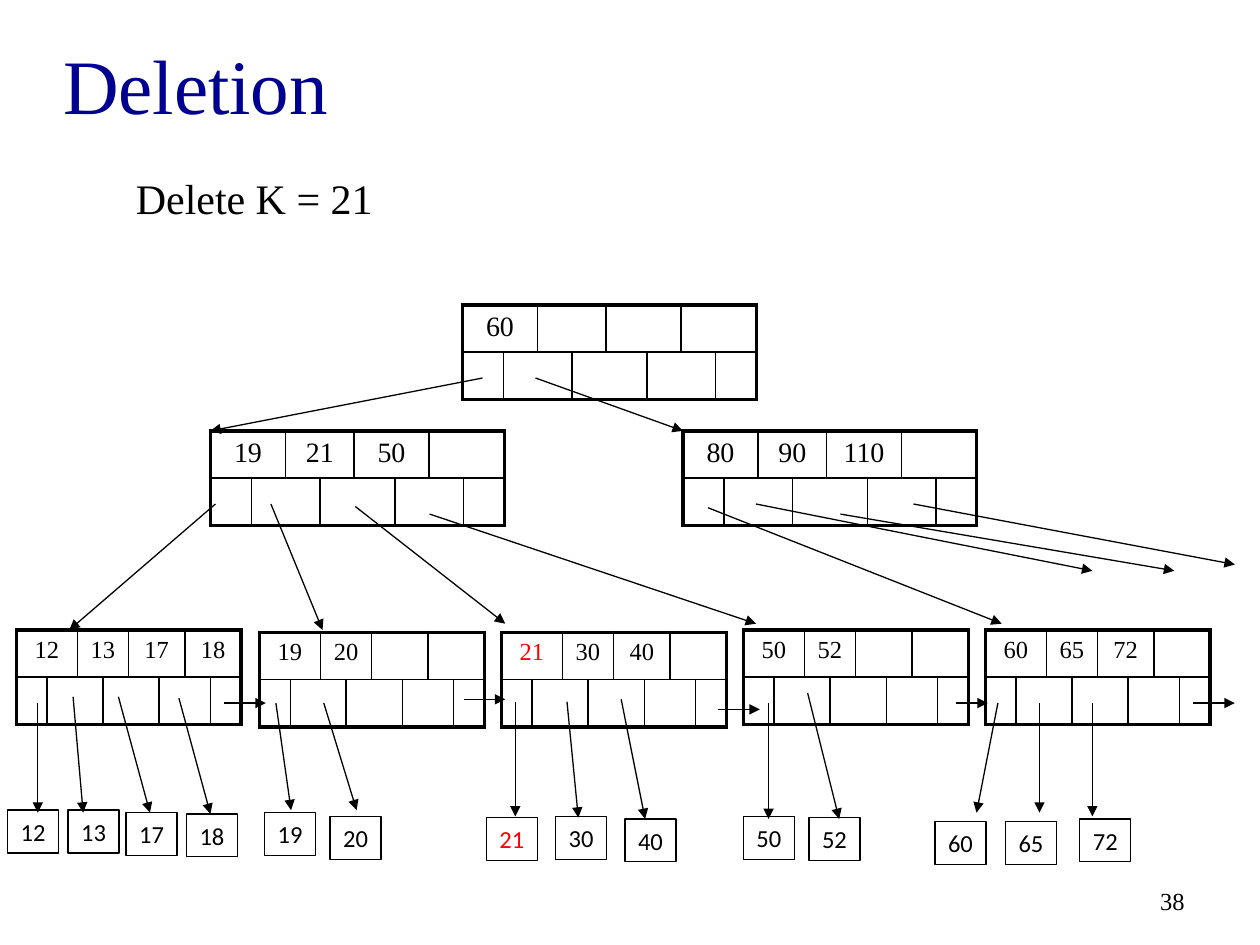
from lxml import etree
from pptx import Presentation
from pptx.dml.color import RGBColor
from pptx.enum.shapes import MSO_CONNECTOR, MSO_SHAPE
from pptx.enum.text import MSO_ANCHOR, MSO_AUTO_SIZE, PP_ALIGN
from pptx.oxml.ns import qn
from pptx.util import Inches, Pt

LEFT, CENTER, RIGHT = PP_ALIGN.LEFT, PP_ALIGN.CENTER, PP_ALIGN.RIGHT
TOP, MIDDLE = MSO_ANCHOR.TOP, MSO_ANCHOR.MIDDLE
FIT, FIXED = MSO_AUTO_SIZE.SHAPE_TO_FIT_TEXT, MSO_AUTO_SIZE.NONE
RECTANGLE, STRAIGHT = MSO_SHAPE.RECTANGLE, MSO_CONNECTOR.STRAIGHT

BLACK, RED, NAVY = "000000", "FF0000", "000090"
SERIF, SANS = "Times New Roman", "Calibri"
GRID_COLUMNS, GRID_ROWS = 100, 75
DELETED = "21"
NODE_WEIGHTS = (6, 5, 5, 5, 6, 5, 5, 6)
KEY_SPANS = ((0, 1), (2, 3), (4, 5), (6, 7))
POINTER_SPANS = ((0, 0), (1, 2), (3, 4), (5, 6), (7, 7))
INNER_NODE = {"width": 23.33, "size": 16, "marked": None}
LEAF_NODE = {"width": 17.5, "size": 14, "marked": DELETED}

INNER_NODES = [
    (36.7, 24.2, ["60"]),
    (16.7, 34.2, ["19", "21", "50"]),
    (54.2, 34.2, ["80", "90", "110"]),
]
LEAF_NODES = [
    (1.3, 50, ["12", "13", "17", "18"]),
    (20.6, 50.2, ["19", "20"]),
    (39.8, 50.2, ["21", "30", "40"]),
    (59, 50, ["50", "52"]),
    (78.2, 50, ["60", "65", "72"]),
]
RECORDS = [
    ("12", 0.6, 64.3), ("13", 5.4, 64.3), ("17", 10, 64.5), ("18", 14.8, 64.6),
    ("19", 21, 64.5), ("20", 26.2, 64.8),
    ("21", 38.6, 64.9), ("30", 44.1, 64.8), ("40", 49.6, 65),
    ("50", 59, 64.8), ("52", 64.2, 64.9),
    ("60", 74.2, 65.2), ("65", 79.8, 65.2), ("72", 85.7, 65),
]
CHILD_ARROWS = [
    (38.3, 30, 16.7, 34.2), (42.5, 30, 54.2, 34.2),
    (17.1, 40, 5.5, 50), (21.5, 40, 25.6, 50),
    (28.2, 40.2, 40.1, 49.5), (34.1, 40.8, 60, 49.5),
    (56.2, 40.3, 79.5, 49.5), (60, 40, 86.7, 45.3),
    (66.7, 40.8, 93.2, 45.3), (72.5, 40, 98, 44.8),
]
SIBLING_ARROWS = [
    (17.8, 55.8, 21.1, 55.8), (36.8, 55.5, 40.1, 55.5), (57, 56.3, 60.3, 56.3),
    (75.9, 55.8, 78.4, 55.8), (94.7, 55.8, 98, 55.8),
]
RECORD_ARROWS = [
    (3, 55.8, 3, 64.5), (5.8, 55.3, 6.6, 64.5), (9.4, 55.3, 11.9, 64.5),
    (14.2, 55.4, 16.7, 64.6), (21.9, 55.8, 23.1, 64.3), (25.7, 55.8, 28.3, 64.3),
    (40.9, 55.7, 40.9, 64.8), (45, 55.7, 45.9, 64.9), (49.3, 55.5, 51.2, 65),
    (61, 55.8, 61, 65), (64.1, 55, 66.6, 65),
    (79.2, 55.8, 77.5, 64.5), (82.5, 55.8, 82.5, 64.5), (86.7, 55.8, 86.7, 64.8),
]


def color(value):
    """Turn a hex string into a colour."""
    return RGBColor.from_string(value)


def apply(target, values):
    """Set each named attribute of the target."""
    for name, value in values.items():
        setattr(target, name, value)


class TreeSlide:
    """Hold the style, the grid and the current slide."""

    def __init__(self, presentation):
        """Add a title-only slide and measure its grid."""
        self.slide = presentation.slides.add_slide(presentation.slide_layouts[5])
        self.column = presentation.slide_width / GRID_COLUMNS
        self.row = presentation.slide_height / GRID_ROWS

    def place(self, left, top, width, height):
        """Convert grid lengths to slide lengths."""
        return (round(left * self.column), round(top * self.row),
                round(width * self.column), round(height * self.row))

    def add_text(self, frame, text, size, font=SERIF, ink=BLACK, align=LEFT):
        """Put one formatted line into a text frame."""
        paragraph = frame.paragraphs[0]
        paragraph.alignment = align
        run = paragraph.add_run()
        run.text = text
        apply(run.font, {"name": font, "size": Pt(size)})
        run.font.color.rgb = color(ink)

    def title(self, text, *area):
        """Move and format the title placeholder."""
        shape = self.slide.shapes.title
        apply(shape, dict(zip(("left", "top", "width", "height"), self.place(*area))))
        apply(shape.text_frame, {"vertical_anchor": MIDDLE, "auto_size": FIXED})
        self.add_text(shape.text_frame, text, 44, ink=NAVY)

    def label(self, text, area, size, align=LEFT, anchor=TOP):
        """Add a plain text box."""
        frame = self.slide.shapes.add_textbox(*self.place(*area)).text_frame
        apply(frame, {"word_wrap": True, "vertical_anchor": anchor})
        self.add_text(frame, text, size, align=align)

    def record(self, key, left, top):
        """Add a data record box."""
        shape = self.slide.shapes.add_shape(RECTANGLE, *self.place(left, top, 4.05, 3.4))
        shape.shadow.inherit = False
        shape.fill.background()
        shape.line.color.rgb = color(BLACK)
        shape.line.width = Pt(0.75)
        apply(shape.text_frame, {"word_wrap": False, "auto_size": FIT, "vertical_anchor": MIDDLE})
        self.add_text(shape.text_frame, key, 14, SANS, RED if key == DELETED else BLACK, CENTER)

    def arrow(self, *ends):
        """Add a straight arrow between two grid points."""
        shape = self.slide.shapes.add_connector(STRAIGHT, *self.place(*ends))
        shape.line.color.rgb = color(BLACK)
        shape.line.width = Pt(0.75)
        etree.SubElement(shape.line._get_or_add_ln(), qn("a:tailEnd"), type="triangle")
        etree.SubElement(shape._element.spPr, qn("a:effectLst"))

    def border(self, cell, thick_sides):
        """Draw the four borders of a cell."""
        properties = cell._tc.get_or_add_tcPr()
        for side in "LRTB":
            width = Pt(2.25 if side in thick_sides else 1)
            line = etree.SubElement(properties, qn(f"a:ln{side}"), w=str(width))
            fill = etree.SubElement(line, qn("a:solidFill"))
            etree.SubElement(fill, qn("a:srgbClr"), val=BLACK)

    def node(self, left, top, keys, width, size, marked):
        """Add a tree node with a row of keys over a row of pointers."""
        area = self.place(left, top, width, 7.5)
        table = self.slide.shapes.add_table(2, len(NODE_WEIGHTS), *area).table
        apply(table, {"first_row": False, "horz_banding": False})
        for column, weight in zip(table.columns, NODE_WEIGHTS):
            column.width = round(area[2] * weight / sum(NODE_WEIGHTS))
        last = len(NODE_WEIGHTS) - 1
        for row, (edge, spans) in enumerate((("T", KEY_SPANS), ("B", POINTER_SPANS))):
            for first, final in spans:
                cell = table.cell(row, first)
                if final > first:
                    cell.merge(table.cell(row, final))
                self.border(cell, edge + "L" * (first == 0) + "R" * (final == last))
        for cell in table.iter_cells():
            cell.fill.background()
            apply(cell, {"margin_top": Inches(0.05), "margin_bottom": 0})
        for key, (first, _) in zip(keys, KEY_SPANS):
            ink = RED if key == marked else BLACK
            self.add_text(table.cell(0, first).text_frame, key, size, ink=ink, align=CENTER)


def main():
    """Build the deletion slide."""
    presentation = Presentation()
    apply(presentation, {"slide_width": Inches(10), "slide_height": Inches(7.5)})
    tree = TreeSlide(presentation)
    tree.title("Deletion", 4, 1.1, 90, 11.1)
    tree.label("Delete K = 21", (9.8, 13.2, 21, 5), 24)
    for nodes, style in ((INNER_NODES, INNER_NODE), (LEAF_NODES, LEAF_NODE)):
        for node in nodes:
            tree.node(*node, **style)
    for record in RECORDS:
        tree.record(*record)
    for ends in CHILD_ARROWS + SIBLING_ARROWS + RECORD_ARROWS:
        tree.arrow(*ends)
    tree.label("38", (71.7, 69.5, 23.3, 4), 14, align=RIGHT, anchor=MIDDLE)
    presentation.save("out.pptx")


if __name__ == "__main__":
    main()
